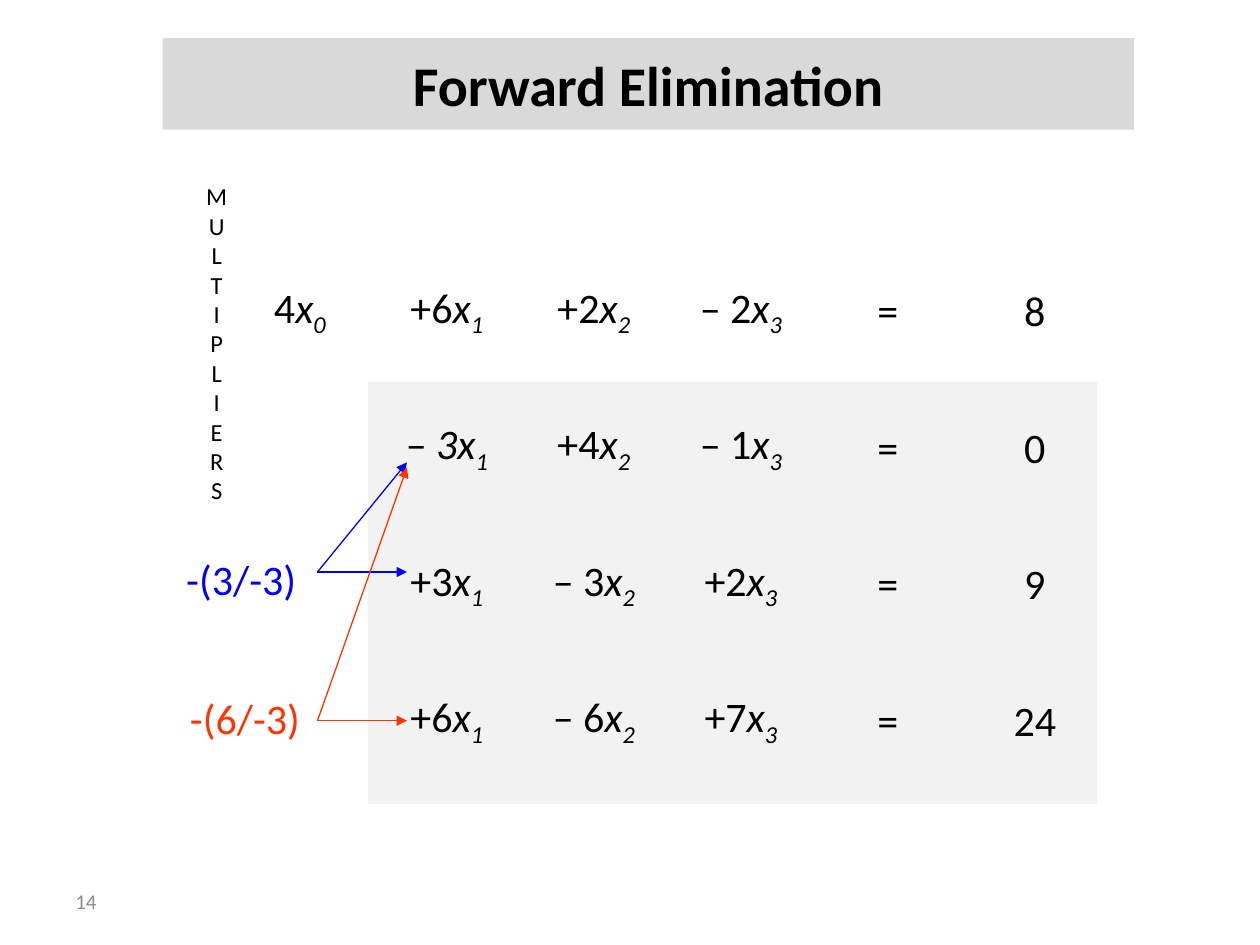
from lxml import etree
from pptx import Presentation, util as u
from pptx.dml.color import RGBColor
from pptx.enum import shapes, text
from pptx.oxml import ns

HUES = {"ink": "000000", "blue": "0000FF", "red": "FF3300", "white": "FFFFFF",
        "panel": "F2F2F2", "bar": "D9D9D9", "gray": "8C8C8C"}
ROWS = [
    ["4|x|0", "+6|x|1", "+2|x|2", "– 2|x|3", "=", "8"],
    ["", "–| 3x|1", "+4|x|2", "– 1|x|3", "=", "0"],
    ["", "+3|x|1", "– 3|x|2", "+2|x|3", "=", "9"],
    ["", "+6|x|1", "– 6|x|2", "+7|x|3", "=", "24"],
]
MID = text.MSO_ANCHOR.MIDDLE
CENTER = text.PP_ALIGN.CENTER


def color(name):
    """Return the named colour."""
    return RGBColor.from_string(HUES[name])


def apply(item, form):
    """Set each attribute of a format dict on an item."""
    for key, value in form.items():
        setattr(item, key, value)


def place(shape, box):
    """Move and size a shape, in inches."""
    apply(shape, dict(zip(("left", "top", "width", "height"), map(u.Inches, box))))


def paint(shape, hue):
    """Fill a shape with one colour and drop its outline."""
    shape.fill.solid()
    shape.fill.fore_color.rgb = color(hue)
    shape.line.fill.background()


def write(par, words, size=24, hue="ink", **form):
    """Add one formatted run to a paragraph."""
    run = par.add_run()
    run.text = words
    apply(run.font, {"name": "Calibri", "size": u.Pt(size), **form})
    run.font.color.rgb = color(hue)
    return run


def label(slide, box, lines, size=24, hue="ink", fill=None, align=None, **form):
    """Add a text box with one paragraph per line."""
    shape = slide.shapes.add_textbox(*map(u.Inches, box))
    if fill:
        paint(shape, fill)
    frame = shape.text_frame
    apply(frame, {"word_wrap": True, **form})
    for i, line in enumerate(lines):
        par = frame.add_paragraph() if i else frame.paragraphs[0]
        par.alignment = align
        write(par, line, size, hue)


def term(slide, box, words):
    """Add a term made of coefficient, variable and subscript."""
    frame = slide.shapes.add_textbox(*map(u.Inches, box)).text_frame
    apply(frame, {"word_wrap": False, "vertical_anchor": MID})
    par = frame.paragraphs[0]
    par.alignment = CENTER
    head, *tail = words.split("|")
    write(par, head)
    if tail:
        write(par, tail[0], italic=True)
        sub = write(par, tail[1], italic=True)
        sub._r.get_or_add_rPr().set("baseline", "-25000")


def arrow(slide, start, end, hue):
    """Draw a thin arrow between two points."""
    line = slide.shapes.add_connector(
        shapes.MSO_CONNECTOR.STRAIGHT, *map(u.Inches, (*start, *end)))
    line.line.color.rgb = color(hue)
    line.line.width = u.Pt(0.75)
    edge = line.line._get_or_add_ln()
    etree.SubElement(edge, ns.qn("a:tailEnd"), type="triangle")
    etree.SubElement(line._element.spPr, ns.qn("a:effectLst"))


def banner(slide, words):
    """Turn the title placeholder into a bevelled bar."""
    title = slide.shapes.title
    place(title, (1.29, 0.3, 7.71, 0.73))
    geom = etree.SubElement(title._element.spPr, ns.qn("a:prstGeom"), prst="bevel")
    etree.SubElement(geom, ns.qn("a:avLst"))
    paint(title, "bar")
    title.text_frame.vertical_anchor = MID
    par = title.text_frame.paragraphs[0]
    par.alignment = CENTER
    write(par, words, 32, bold=True)


def panel(slide, box):
    """Shade the part of the system still to be reduced."""
    shape = slide.shapes.add_shape(shapes.MSO_SHAPE.RECTANGLE, *map(u.Inches, box))
    shape.shadow.inherit = False
    paint(shape, "panel")


def grid(slide):
    """Lay out the equations in even rows and columns."""
    for r, row in enumerate(ROWS):
        for c, words in enumerate(row):
            if words:
                spot = (1.92 + c * 7 / 6, 2 + r * 13 / 12, 0.92, 0.92)
                term(slide, spot, words)


def main():
    """Build and save the slide."""
    deck = Presentation()
    apply(deck, {"slide_width": u.Inches(10), "slide_height": u.Inches(7.5)})
    slide = deck.slides.add_slide(deck.slide_layouts[5])
    banner(slide, "Forward Elimination")
    panel(slide, (2.92, 3.03, 5.79, 3.35))
    grid(slide)
    label(slide, (1.53, 1.39, 0.38, 2.66), "MULTIPLIERS", 14, fill="white",
          align=CENTER, word_wrap=False)
    for words, hue, left, top, y, pivot in (
            ("-(3/-3)", "blue", 1.38, 4.34, 4.54, 3.67),
            ("-(6/-3)", "red", 1.41, 5.45, 5.72, 3.71)):
        label(slide, (left, top, 1.07, 0.51), [words], hue=hue, fill="white")
        for end in (pivot, y):
            arrow(slide, (2.52, y), (3.23, end), hue)
    label(slide, (0.5, 6.95, 2.33, 0.4), ["14"], 12, "gray", vertical_anchor=MID)
    deck.save("out.pptx")


if __name__ == "__main__":
    main()
